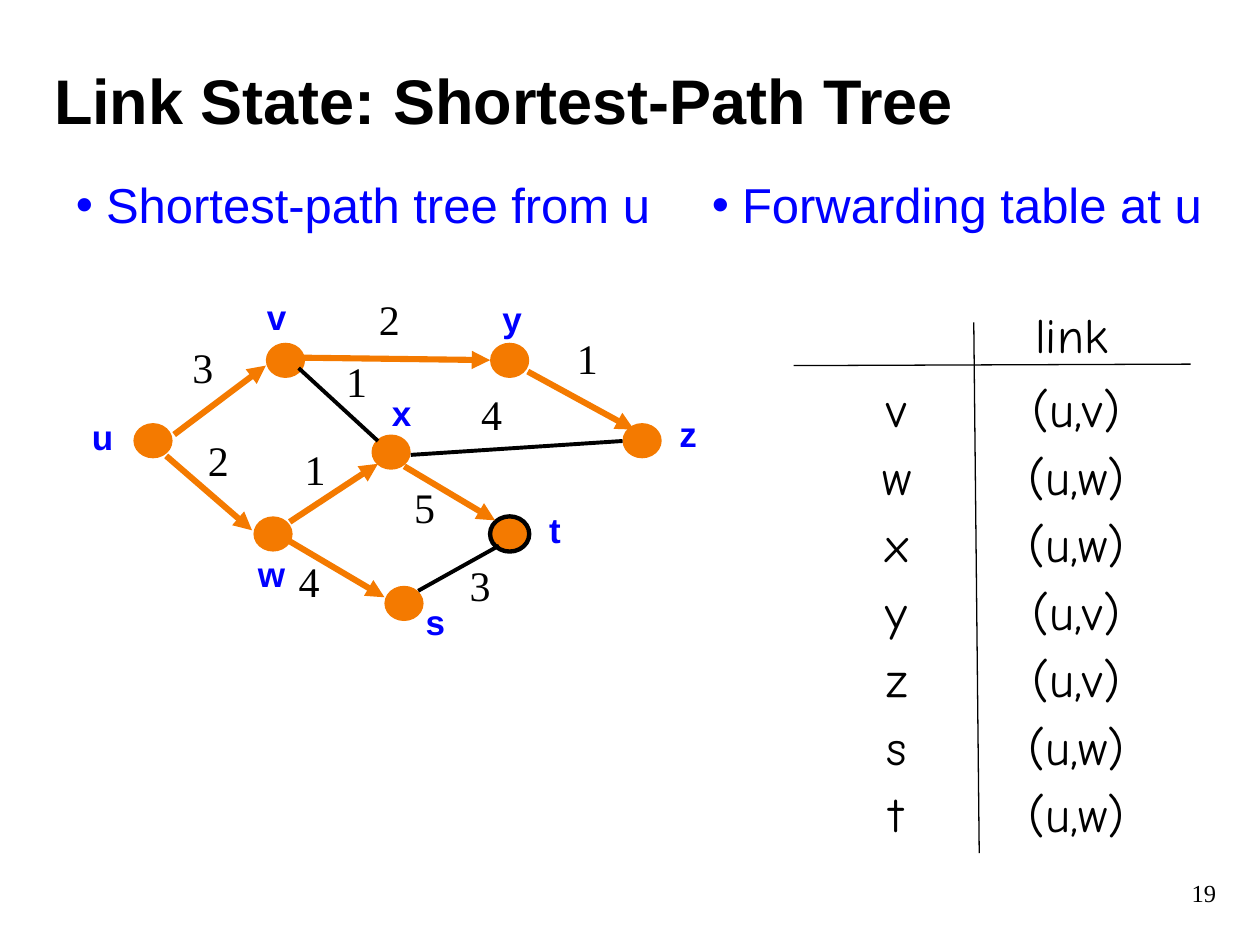
from lxml.etree import SubElement
from pptx import Presentation
from pptx.dml.color import RGBColor
from pptx.enum.shapes import MSO_CONNECTOR, MSO_SHAPE
from pptx.enum.text import MSO_ANCHOR, MSO_AUTO_SIZE, PP_ALIGN
from pptx.oxml.ns import qn
from pptx.util import Cm, Pt

BLACK, BLUE, ORANGE = "000000", "0000FF", "F47A00"
SERIF, SANS, COMIC = "Times New Roman", "Arial", "Comic Neue"

NODES = {
    "u": (1.09, 2.74), "w": (3.51, 4.62), "v": (3.76, 1.12), "x": (5.89, 2.97),
    "t": (8.28, 4.62), "y": (8.28, 1.12), "s": (6.15, 6.02), "z": (10.95, 2.74),
}
NAMES = {
    "u": (0, 2.47, 0.94), "v": (3.53, 0.05, 0.89), "w": (3.35, 5.23, 1.04),
    "x": (6.05, 1.98, 0.89), "y": (8.28, 0.08, 0.89), "z": (11.84, 2.41, 0.86),
    "s": (6.73, 6.2, 0.89), "t": (9.22, 4.34, 0.74),
}
TREE = [
    ((1.91, 2.97), (3.76, 1.58), "3", (2.03, 0.97)),
    ((1.75, 3.4), (3.48, 4.9), "2", (2.34, 2.85)),
    ((4.17, 5.08), (6.15, 6.25), "4", (4.17, 5.28)),
    ((4.24, 4.73), (6.02, 3.56), "1", (4.29, 3.02)),
    ((6.55, 3.61), (8.38, 4.7), "5", (6.5, 3.79)),
    ((4.47, 1.42), (8.28, 1.47), "2", (5.79, 0)),
    ((9.04, 1.7), (11.18, 2.87), "1", (9.78, 0.79)),
]
REST = [
    ((4.42, 1.63), (6.02, 3.1), "1", (5.13, 1.25)),
    ((6.83, 6.12), (8.46, 5.21), "3", (7.62, 5.36)),
    ((6.68, 3.38), (10.95, 3.1), "4", (7.85, 1.91)),
]
HOPS = {"v": "v", "w": "w", "x": "w", "y": "v", "z": "v", "s": "w", "t": "w"}


def paint(hue):
    """Turn a hex string into a colour."""
    return RGBColor.from_string(hue)


def text(shapes, words, box, size, font, hue=BLACK, bold=False,
         align=PP_ALIGN.LEFT, mid=False, wrap=False):
    """Add a text box and return its paragraph."""
    frame = shapes.add_textbox(*map(Cm, box)).text_frame
    frame.word_wrap = wrap
    frame.auto_size = MSO_AUTO_SIZE.NONE if wrap else MSO_AUTO_SIZE.SHAPE_TO_FIT_TEXT
    frame.vertical_anchor = MSO_ANCHOR.MIDDLE if mid else MSO_ANCHOR.TOP
    para = frame.paragraphs[0]
    para.alignment = align
    run = para.add_run()
    run.text = words
    run.font.size, run.font.name, run.font.bold = Pt(size), font, bold
    run.font.color.rgb = paint(hue)
    return para


def line(shapes, start, end, width, hue=BLACK, arrow=False):
    """Draw a straight line, with an arrowhead if asked."""
    edge = shapes.add_connector(MSO_CONNECTOR.STRAIGHT, *map(Cm, start + end))
    edge.line.width = Pt(width)
    edge.line.color.rgb = paint(hue)
    props = edge._element.spPr
    if arrow:
        SubElement(props.find(qn("a:ln")), qn("a:tailEnd"), type="triangle")
    SubElement(props, qn("a:effectLst"))


def point(shapes, words, box):
    """Write one bulleted heading."""
    para = text(shapes, words, box, 28, SANS, hue=BLUE, wrap=True)
    para.space_before = Pt(17.5)
    props = para._p.get_or_add_pPr()
    props.set("marL", str(Cm(0.61)))
    props.set("indent", str(-Cm(0.61)))
    SubElement(SubElement(props, qn("a:buClr")), qn("a:srgbClr"), val=BLUE)
    SubElement(props, qn("a:buFont"), typeface=SANS)
    SubElement(props, qn("a:buChar"), char="•")


def graph(shapes, left, top):
    """Draw the network with its shortest-path tree."""
    def at(spot):
        return left + spot[0], top + spot[1]

    for name, spot in NODES.items():
        dot = shapes.add_shape(MSO_SHAPE.OVAL, *map(Cm, at(spot) + (0.79, 0.71)))
        dot.shadow.inherit = False
        dot.fill.solid()
        dot.fill.fore_color.rgb = paint(ORANGE)
        if name == "t":
            dot.line.color.rgb = paint(BLACK)
            dot.line.width = Pt(2.5)
        else:
            dot.line.fill.background()
    for edges, width, hue, arrow in ((TREE, 3.5, ORANGE, True), (REST, 2.25, BLACK, False)):
        for start, end, cost, spot in edges:
            line(shapes, at(start), at(end), width, hue, arrow)
            text(shapes, cost, at(spot) + (0.91, 1.27), 24, SERIF)
    for name, (x, y, wide) in NAMES.items():
        text(shapes, name, at((x, y)) + (wide, 1.11), 20, SANS,
             hue=BLUE, bold=True, align=PP_ALIGN.CENTER)


def table(shapes, left, top):
    """Draw the ruled forwarding table."""
    line(shapes, (left + 3.63, top + 0.51), (left + 3.74, top + 11.21), 0.75)
    line(shapes, (left, top + 1.38), (left + 8, top + 1.35), 0.75)
    text(shapes, "link", (left + 4.62, top + 0.02, 2.1, 1.45), 28, COMIC)
    for row, (goal, hop) in enumerate(HOPS.items()):
        y = top + 1.52 + row * 1.36
        for words, x, wide in ((goal, 1.53, 1.1), (f"(u,{hop})", 4.4, 2.6)):
            text(shapes, words, (left + x, y, wide, 1.45), 28, COMIC,
                 align=PP_ALIGN.CENTER)


def main():
    """Build and save the slide."""
    deck = Presentation()
    deck.slide_width, deck.slide_height = Cm(25.4), Cm(19.05)
    shapes = deck.slides.add_slide(deck.slide_layouts[6]).shapes
    text(shapes, "19", (22.23, 17.58, 2.54, 1.07), 14, SERIF,
         align=PP_ALIGN.RIGHT, wrap=True)
    text(shapes, "Link State: Shortest-Path Tree", (0.84, 1.05, 22.4, 1.9), 36, SANS,
         bold=True, mid=True, wrap=True)
    point(shapes, "Shortest-path tree from u", (1.28, 3.4, 12.93, 15.24))
    point(shapes, "Forwarding table at u", (14.1, 3.4, 10.67, 15.24))
    graph(shapes.add_group_shape().shapes, 1.6, 5.79)
    table(shapes, 16, 5.99)
    deck.save("out.pptx")


if __name__ == "__main__":
    main()
